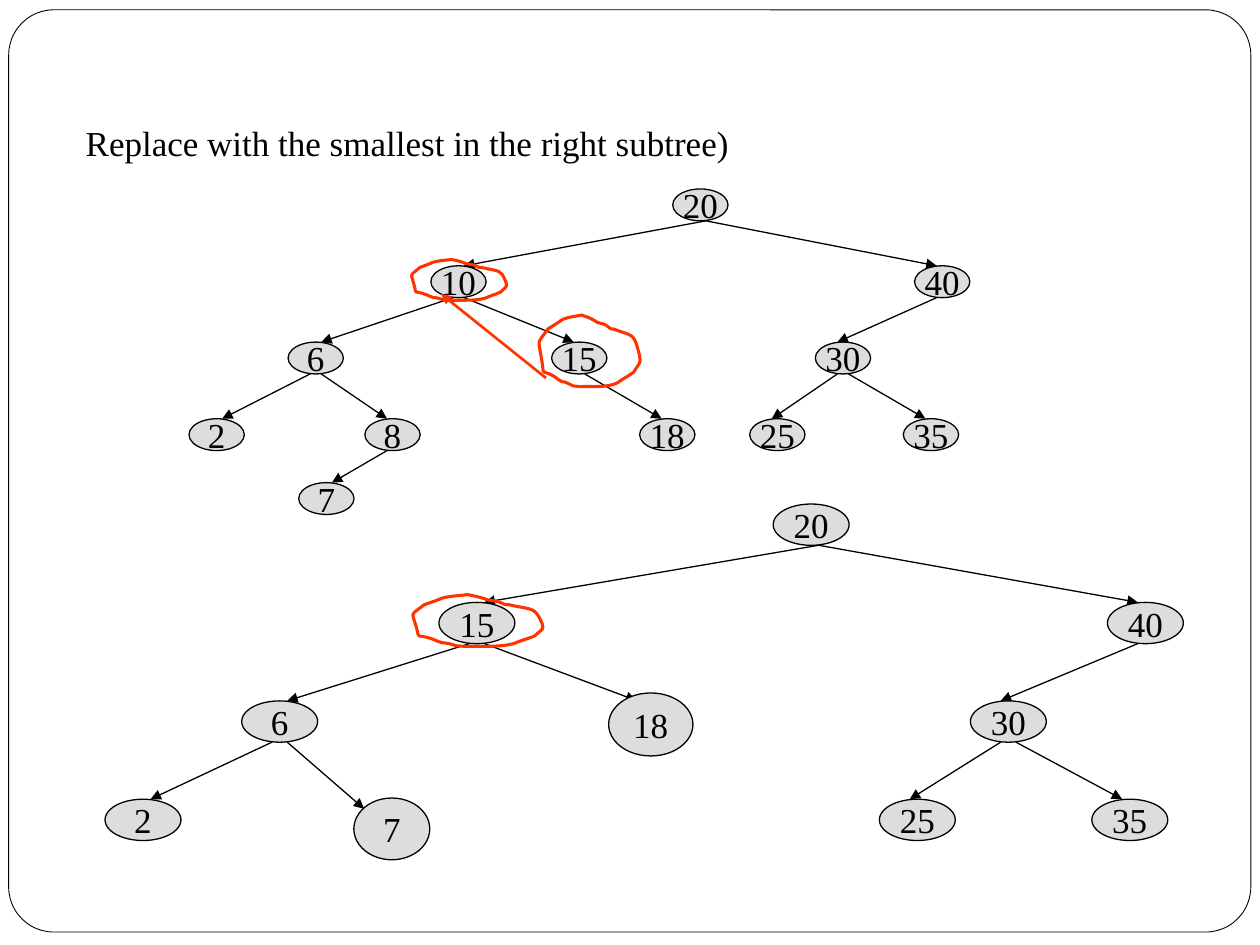
from dataclasses import dataclass
from typing import Optional

from lxml import etree
from pptx import Presentation
from pptx import util as u
from pptx.dml.color import RGBColor
from pptx.enum import shapes, text
from pptx.oxml import ns
from pptx.shapes.shapetree import GroupShapes

COLOURS = {"ink": "000000", "node": "DDDDDD", "mark": "FF3300"}
FONT = "Times New Roman"
TEXT_SIZE = 20
LEFT, RIGHT = -1, 1

# Hand-drawn ring in percent of its box: a start, then cubic Bezier triples.
RING_START = (44, 0)
RING_CURVES = [
    ((39, 2), (27, 3), (23, 9)),
    ((20, 12), (12, 19), (12, 19)),
    ((0, 43), (3, 29), (7, 71)),
    ((7, 72), (7, 76), (8, 78)),
    ((9, 79), (12, 79), (14, 81)),
    ((18, 83), (21, 88), (25, 91)),
    ((29, 91), (33, 95), (36, 97)),
    ((38, 97), (42, 98), (42, 98)),
    ((54, 97), (67, 100), (78, 93)),
    ((81, 90), (85, 86), (89, 83)),
    ((91, 81), (94, 78), (94, 78)),
    ((96, 72), (100, 67), (100, 62)),
    ((100, 57), (99, 52), (98, 47)),
    ((94, 26), (92, 28), (78, 21)),
    ((76, 19), (74, 19), (72, 19)),
    ((64, 10), (68, 14), (59, 10)),
    ((54, 5), (50, 3), (44, 0)),
]


@dataclass
class Node:
    """leave and arrive: side of the centre where the arrow from the parent starts and ends."""
    label: str
    centre: float
    top: float
    parent: Optional[str] = None
    leave: int = RIGHT
    arrive: int = RIGHT
    size: Optional[tuple[float, float]] = None
    tip: Optional[tuple[float, float]] = None


@dataclass
class Tree:
    node_size: tuple[float, float]
    nodes: list[Node]


@dataclass
class Ring:
    left: float
    top: float
    width: float
    height: float


BEFORE = Tree((31.6, 18.2), [
    Node("20", 400.2, 108),
    Node("40", 538.4, 151.9, "20", RIGHT, LEFT),
    Node("10", 262, 151.9, "20", RIGHT, RIGHT),
    Node("6", 180.4, 195.5, "10", LEFT, RIGHT),
    Node("15", 331, 195.5, "10", RIGHT, LEFT),
    Node("30", 481.7, 195.5, "40", LEFT, LEFT),
    Node("2", 123.8, 239.3, "6", LEFT, RIGHT),
    Node("8", 224.3, 239.3, "6", RIGHT, LEFT),
    Node("18", 381.3, 239.3, "15", RIGHT, LEFT),
    Node("25", 444.2, 239.3, "30", LEFT, LEFT),
    Node("35", 532, 239.3, "30", RIGHT, LEFT),
    Node("7", 186.5, 275.8, "8", LEFT, RIGHT),
])
AFTER = Tree((43.4, 23.6), [
    Node("20", 463.5, 288),
    Node("40", 654.5, 344.2, "20", RIGHT, LEFT),
    Node("15", 272.5, 344.2, "20", RIGHT, RIGHT),
    Node("6", 159.8, 400.5, "15", LEFT, RIGHT),
    Node("18", 371.9, 396, "15", RIGHT, size=(48.2, 36), tip=(363.6, 400.3)),
    Node("30", 576.2, 400.5, "40", LEFT, LEFT),
    Node("2", 81.7, 456.7, "6", LEFT, RIGHT),
    Node("7", 223.9, 456, "6", RIGHT, size=(43.4, 35.3), tip=(208.1, 462.2)),
    Node("25", 524.2, 456.7, "30", LEFT, LEFT),
    Node("35", 645.6, 456.7, "30", RIGHT, LEFT),
])


def colour(name: str) -> RGBColor:
    return RGBColor.from_string(COLOURS[name])


def style_line(shape, name: str, width: float) -> None:
    shape.line.color.rgb = colour(name)
    shape.line.width = u.Pt(width)


def style_font(paragraph) -> None:
    paragraph.font.name = FONT
    paragraph.font.size = u.Pt(TEXT_SIZE)
    paragraph.font.color.rgb = colour("ink")


def draw_arrow(container: GroupShapes, start: tuple[float, float], end: tuple[float, float],
               name: str = "ink", width: float = 0.75, arrowhead: str = "a:tailEnd") -> None:
    points = [u.Pt(value) for value in (*start, *end)]
    arrow = container.add_connector(shapes.MSO_CONNECTOR.STRAIGHT, *points)
    style_line(arrow, name, width)
    outline = arrow.line._get_or_add_ln()
    etree.SubElement(outline, ns.qn(arrowhead), type="triangle")
    etree.SubElement(arrow._element.spPr, ns.qn("a:effectLst"))


def draw_node(container: GroupShapes, node: Node, size: tuple[float, float]) -> None:
    width, height = size
    shape = container.add_shape(shapes.MSO_SHAPE.OVAL, u.Pt(node.centre - width / 2),
                                u.Pt(node.top), u.Pt(width), u.Pt(height))
    shape.shadow.inherit = False
    shape.fill.solid()
    shape.fill.fore_color.rgb = colour("node")
    style_line(shape, "ink", 0.75)
    frame = shape.text_frame
    frame.word_wrap = False
    frame.vertical_anchor = text.MSO_ANCHOR.MIDDLE
    paragraph = frame.paragraphs[0]
    paragraph.text = node.label
    paragraph.alignment = text.PP_ALIGN.CENTER
    style_font(paragraph)


def draw_tree(container: GroupShapes, tree: Tree) -> None:
    width, height = tree.node_size
    offset = width / 10
    by_label = {node.label: node for node in tree.nodes}
    for node in tree.nodes:
        if node.parent:
            parent = by_label[node.parent]
            start = (parent.centre + node.leave * offset, parent.top + height)
            draw_arrow(container, start,
                       node.tip or (node.centre + node.arrive * offset, node.top))
    for node in tree.nodes:
        draw_node(container, node, node.size or tree.node_size)


def draw_ring(container: GroupShapes, ring: Ring) -> None:
    """Place a freeform over the ring's box, then give its path the Bezier curves."""
    left, top = u.Pt(ring.left), u.Pt(ring.top)
    right, bottom = u.Pt(ring.left + ring.width), u.Pt(ring.top + ring.height)
    builder = container.build_freeform(left, top)
    builder.add_line_segments([(right, top), (right, bottom)], close=True)
    shape = builder.convert_to_shape()
    shape.shadow.inherit = False
    shape.fill.background()
    style_line(shape, "mark", 1.75)

    path = shape._element.find(".//" + ns.qn("a:path"))
    for child in list(path):
        path.remove(child)
    path.set("w", "100")
    path.set("h", "100")
    steps = [("a:moveTo", [RING_START])] + [("a:cubicBezTo", curve) for curve in RING_CURVES]
    for tag, points in steps:
        step = etree.SubElement(path, ns.qn(tag))
        for x, y in points:
            etree.SubElement(step, ns.qn("a:pt"), x=str(x), y=str(y))
    etree.SubElement(path, ns.qn("a:close"))


def main() -> None:
    presentation = Presentation()
    presentation.slide_width, presentation.slide_height = u.Pt(720), u.Pt(540)
    slide = presentation.slides.add_slide(presentation.slide_layouts[6])

    border = slide.shapes.add_shape(shapes.MSO_SHAPE.ROUNDED_RECTANGLE,
                                    u.Pt(5), u.Pt(5.6), u.Pt(709.8), u.Pt(527))
    border.adjustments[0] = 0.049
    border.shadow.inherit = False
    border.fill.background()
    style_line(border, "ink", 0.5)

    for tree, ring in ((BEFORE, Ring(233.3, 148.3, 56.2, 23.8)),
                       (AFTER, Ring(233.3, 339.8, 77, 30.2))):
        group = slide.shapes.add_group_shape()
        draw_tree(group.shapes, tree)
        draw_ring(group.shapes, ring)

    caption = slide.shapes.add_textbox(u.Pt(41.9), u.Pt(65.9), u.Pt(606), u.Pt(31.5))
    caption.text_frame.word_wrap = True
    caption.text_frame.auto_size = text.MSO_AUTO_SIZE.SHAPE_TO_FIT_TEXT
    paragraph = caption.text_frame.paragraphs[0]
    paragraph.text = "Replace with the smallest in the right subtree)"
    style_font(paragraph)

    draw_ring(slide.shapes, Ring(306, 180, 59.8, 41.8))
    draw_arrow(slide.shapes, (252, 168), (312, 216), "mark", 1.5, "a:headEnd")
    presentation.save("out.pptx")


if __name__ == "__main__":
    main()
